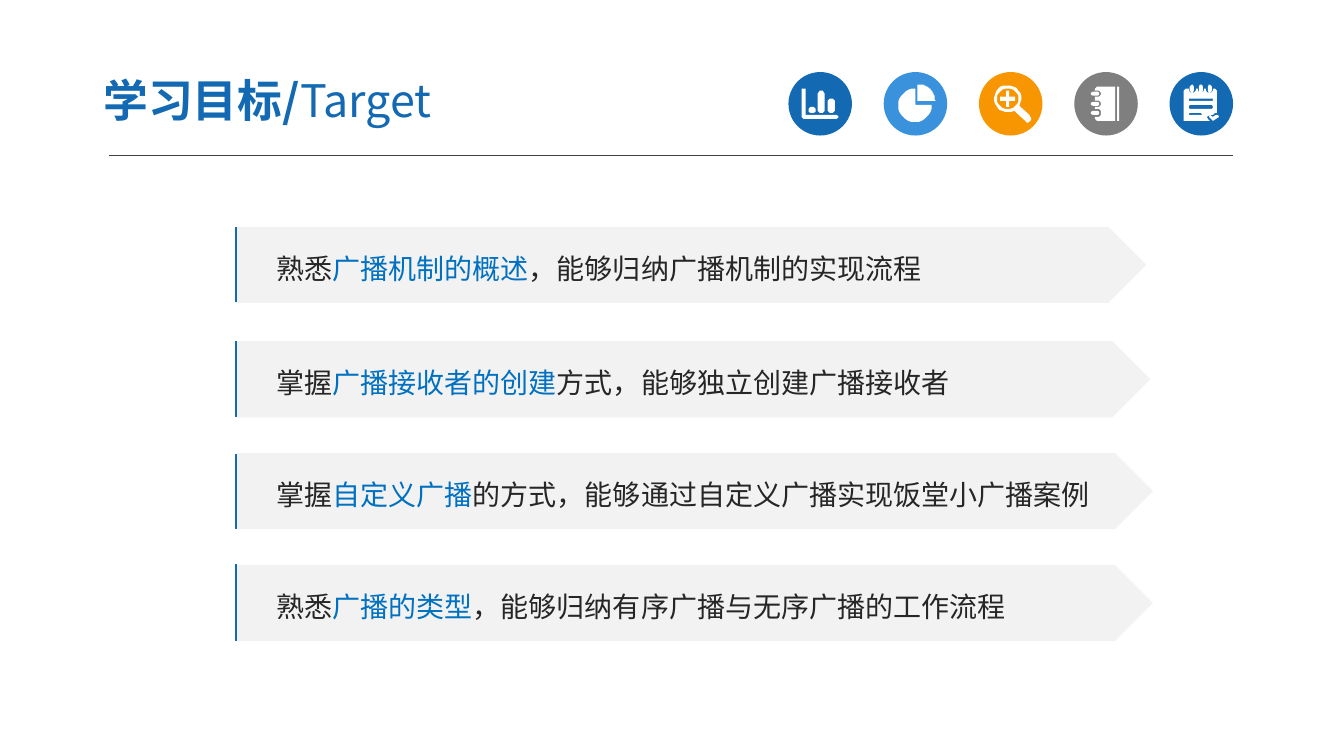
"""Build the learning-targets slide: title, five icon discs and four arrow banners."""
import math

import lxml.etree
import pptx
import pptx.dml.color
import pptx.enum.shapes
import pptx.enum.text
import pptx.oxml.ns
import pptx.util

RGBColor = pptx.dml.color.RGBColor
Shape = pptx.enum.shapes.MSO_SHAPE
BLUE = RGBColor(0x13, 0x69, 0xB2)
SKY = RGBColor(0x39, 0x92, 0xDB)
ORANGE = RGBColor(0xF7, 0x96, 0x00)
GREY = RGBColor(0x7F, 0x7F, 0x7F)
PALE = RGBColor(0xF2, 0xF2, 0xF2)
DARK = RGBColor(0x26, 0x26, 0x26)
ACCENT = RGBColor(0x00, 0x70, 0xC0)
RULE = RGBColor(0x40, 0x40, 0x40)
WHITE = RGBColor(0xFF, 0xFF, 0xFF)
FONT = "Noto Sans CJK SC"

deck = pptx.Presentation()
deck.slide_width = pptx.util.Inches(13.33)
deck.slide_height = pptx.util.Inches(7.5)
UNIT = deck.slide_width / 1333
page = deck.slides.add_slide(deck.slide_layouts[5])


def add_span(para, text, size, colour, bold=False):
    """Add a run in the slide's font for both Latin and Chinese text."""
    span = para.add_run()
    span.text = text
    span.font.size = pptx.util.Pt(size)
    span.font.bold = bold
    span.font.color.rgb = colour
    span.font.name = FONT
    east_asian = lxml.etree.SubElement(span.font._element, pptx.oxml.ns.qn("a:ea"))
    east_asian.set("typeface", FONT)


def arc(x, y, radius, start, end):
    """Return points along a clockwise arc, with angles in degrees."""
    angles = [math.radians(start + (end - start) * step / 24) for step in range(25)]
    return [(x + radius * math.cos(angle), y + radius * math.sin(angle))
            for angle in angles]


title = page.shapes.title
title.left, title.top, title.width, title.height = [
    round(length * UNIT) for length in (89.5, 63, 522, 72)]
frame = title.text_frame
frame.auto_size = pptx.enum.text.MSO_AUTO_SIZE.NONE
frame.vertical_anchor = pptx.enum.text.MSO_ANCHOR.MIDDLE
frame.margin_left = frame.margin_right = pptx.util.Inches(0.13)
frame.margin_top = frame.margin_bottom = pptx.util.Inches(0.07)
heading = frame.paragraphs[0]
heading.alignment = pptx.enum.text.PP_ALIGN.LEFT
add_span(heading, "学习目标/", 32, BLUE, bold=True)
add_span(heading, "Target", 32, BLUE)

DISC_LEFT, DISC_TOP, DISC_SIZE, DISC_PITCH = 782, 71.5, 63, 94.5
chart_boxes = [(20, 35, 7, 6), (29, 19, 7, 22), (39, 26, 7, 15)]
chart_outlines = [[(13, 17), (15, 16), (17, 17), (17, 43), (48, 43), (50, 45),
                   (48, 46), (15, 46), (13, 45)]]
pie_outlines = [[(31, 33)] + arc(31, 33, 16.5, 0, 270),
                [(34, 29)] + arc(34, 29, 17, 270, 360)]
search_outlines = [
    arc(28.5, 26.5, 13.5, 60, 390) + [(50, 43), (52, 46), (51, 49), (48, 50), (46, 48)],
    arc(28.5, 26.5, 10.5, 0, 360),
    [(27, 19), (30, 19), (30, 25), (36, 25), (36, 28), (30, 28),
     (30, 34), (27, 34), (27, 28), (21, 28), (21, 25), (27, 25)]]
book_cover = [(40, 48), (40, 15), (22, 15), (20, 16)]
for notch in (18, 28, 37):
    book_cover += [(20, notch), (25, notch), (27, notch + 2), (27, notch + 5),
                   (25, notch + 7), (20, notch + 7)]
book_outlines = [book_cover + [(20, 46), (22, 48)]]
book_boxes = [(42, 15, 3, 33)] + [(17, top, 8, 4) for top in (19.5, 29.5, 38.5)]
notepad_sheet = [(14, 18), (16, 16)]
for notch in (19, 27.5, 36):
    notepad_sheet += [(notch, 16), (notch, 19), (notch + 2, 21), (notch + 5, 21),
                      (notch + 7, 19), (notch + 7, 16)]
notepad_sheet += [(45, 16), (47, 18), (47, 40), (45, 40), (43, 43), (40, 42),
                  (37, 44), (38, 47), (40, 49), (16, 49), (14, 48)]
notepad_tick = [(39, 45), (40, 43), (43, 45), (46, 42), (48, 42), (49, 44), (43, 49)]
notepad_boxes = [(left, 13, 4, 7) for left in (20.5, 29, 37.5)] + [
    (19, 26, 24, 3), (19, 33, 24, 4), (19, 41, 13, 2)]
icons = [
    (BLUE, chart_outlines, chart_boxes), (SKY, pie_outlines, []),
    (ORANGE, search_outlines, []), (GREY, book_outlines, book_boxes),
    (BLUE, [notepad_sheet, notepad_tick], notepad_boxes)]

for column, (colour, outlines, boxes) in enumerate(icons):
    left = DISC_LEFT + column * DISC_PITCH
    disc = page.shapes.add_shape(Shape.OVAL, *[
        round(length * UNIT) for length in (left, DISC_TOP, DISC_SIZE, DISC_SIZE)])
    contours = list(outlines)
    for x, y, width, height in boxes:
        cut = min(width, height) * 0.3
        right, bottom = x + width, y + height
        contours.append([
            (x + cut, y), (right - cut, y), (right, y + cut), (right, bottom - cut),
            (right - cut, bottom), (x + cut, bottom), (x, bottom - cut), (x, y + cut)])
    placed = [[(left + x, DISC_TOP + y) for x, y in contour] for contour in contours]
    builder = page.shapes.build_freeform(*placed[0][0], scale=UNIT)
    builder.add_line_segments(placed[0][1:], close=True)
    for contour in placed[1:]:
        builder.move_to(*contour[0])
        builder.add_line_segments(contour[1:], close=True)
    symbol = builder.convert_to_shape()
    for part, fill_colour in ((disc, colour), (symbol, WHITE)):
        part.shadow.inherit = False
        part.fill.solid()
        part.fill.fore_color.rgb = fill_colour
        part.line.fill.background()

rule = page.shapes.add_connector(
    pptx.enum.shapes.MSO_CONNECTOR.STRAIGHT,
    *[round(end * UNIT) for end in (108, 154.5, 1223, 154.5)])
rule.line.color.rgb = RULE
rule.line.width = pptx.util.Pt(0.75)
lxml.etree.SubElement(rule._element.spPr, pptx.oxml.ns.qn("a:effectLst"))

BANNER_LEFT, BANNER_HEIGHT, EDGE_WIDTH = 234, 75.5, 13
targets = [
    (225, 903, "熟悉", "广播机制的概述", "，能够归纳广播机制的实现流程"),
    (338.5, 907, "掌握", "广播接收者的创建", "方式，能够独立创建广播接收者"),
    (449.5, 909.5, "掌握", "自定义广播", "的方式，能够通过自定义广播实现饭堂小广播案例"),
    (560.5, 909.5, "熟悉", "广播的类型", "，能够归纳有序广播与无序广播的工作流程"),
]
for top, width, verb, topic, outcome in targets:
    banner = page.shapes.add_shape(Shape.PENTAGON, *[
        round(length * UNIT) for length in (BANNER_LEFT, top, width, BANNER_HEIGHT)])
    banner.shadow.inherit = False
    banner.fill.solid()
    banner.fill.fore_color.rgb = PALE
    banner.line.fill.background()
    frame = banner.text_frame
    frame.word_wrap = True
    frame.vertical_anchor = pptx.enum.text.MSO_ANCHOR.MIDDLE
    frame.margin_left = pptx.util.Inches(0.4)
    para = frame.paragraphs[0]
    para.alignment = pptx.enum.text.PP_ALIGN.LEFT
    para.line_spacing = 1.2
    for text, colour in ((verb, DARK), (topic, ACCENT), (outcome, DARK)):
        add_span(para, text, 20, colour)
    edge_left = BANNER_LEFT + 0.5
    builder = page.shapes.build_freeform(edge_left, top + BANNER_HEIGHT, scale=UNIT)
    builder.add_line_segments([(edge_left, top)], close=False)
    builder.move_to(edge_left + EDGE_WIDTH, top)
    edge = builder.convert_to_shape()
    edge.shadow.inherit = False
    edge.fill.background()
    edge.line.color.rgb = BLUE
    edge.line.width = pptx.util.Pt(1.5)

deck.save("out.pptx")
